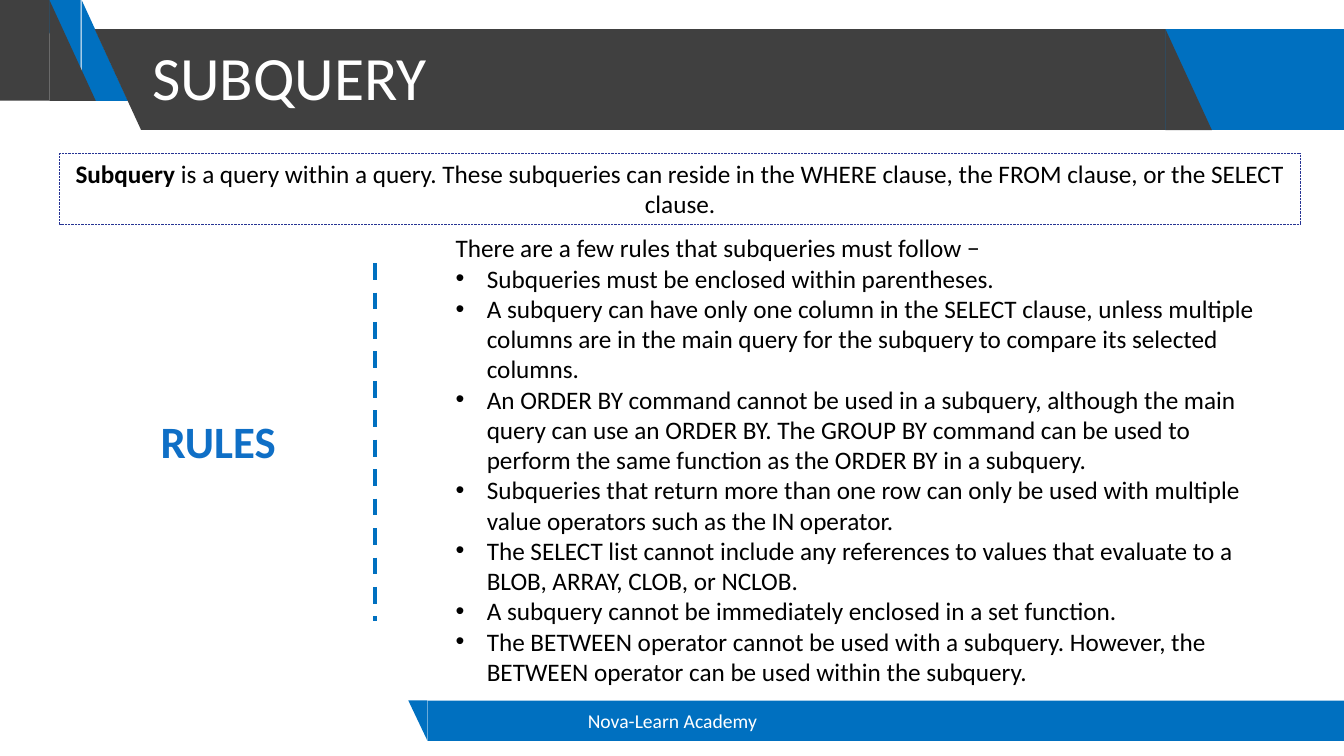
from dataclasses import dataclass

from lxml.etree import SubElement
from pptx import Presentation
from pptx.dml.color import RGBColor
from pptx.enum.dml import MSO_LINE
from pptx.enum.shapes import MSO_CONNECTOR, MSO_SHAPE
from pptx.enum.text import MSO_ANCHOR, PP_ALIGN
from pptx.oxml.ns import qn
from pptx.shapes.autoshape import Shape
from pptx.slide import Slide
from pptx.text.text import _Paragraph as Paragraph
from pptx.util import Pt

PX = 9144  # 100 px to the inch
FONT = "Calibri"
BLUE = RGBColor(0x00, 0x70, 0xC0)
GRAY = RGBColor(0x40, 0x40, 0x40)
NAVY = RGBColor(0x26, 0x33, 0x93)
RULES_BLUE = RGBColor(0x0F, 0x6F, 0xC6)
WHITE = RGBColor(0xFF, 0xFF, 0xFF)
BLACK = RGBColor(0x00, 0x00, 0x00)
RECTANGLE = MSO_SHAPE.RECTANGLE
TRIANGLE = MSO_SHAPE.RIGHT_TRIANGLE
BULLET_INDENT = 31

Area = tuple[int, int, int, int]


@dataclass(frozen=True)
class Band:
    area: Area
    color: RGBColor
    kind: MSO_SHAPE = RECTANGLE
    flipped: bool = False


@dataclass(frozen=True)
class Label:
    text: str
    area: Area
    size: int
    color: RGBColor
    align: PP_ALIGN = PP_ALIGN.CENTER
    anchor: MSO_ANCHOR = MSO_ANCHOR.MIDDLE
    bold: bool = False
    line_spacing: float = 1.0


BANDS = [
    Band((1068, 29, 265, 100), BLUE),
    Band((81, 0, 46, 100), BLUE, TRIANGLE),
    Band((34, 0, 46, 100), BLUE, TRIANGLE, flipped=True),
    Band((0, 0, 49, 100), GRAY),
    Band((49, 0, 46, 100), GRAY, TRIANGLE),
    Band((94, 29, 46, 100), GRAY, TRIANGLE, flipped=True),
    Band((140, 29, 1016, 100), GRAY),
    Band((1156, 29, 46, 100), GRAY, TRIANGLE),
    Band((424, 695, 909, 40), BLUE),
    Band((405, 695, 19, 40), BLUE, TRIANGLE, flipped=True),
]

LABELS = [
    Label("SUBQUERY", (141, 7, 1014, 145), 44, WHITE, PP_ALIGN.LEFT, line_spacing=0.9),
    Label("Nova-Learn Academy", (442, 695, 450, 40), 14, WHITE),
    Label("RULES", (46, 406, 341, 64), 32, RULES_BLUE, anchor=MSO_ANCHOR.TOP, bold=True),
]

DEFINITION_TERM = "Subquery"
DEFINITION = (
    " is a query within a query. These subqueries can reside in the WHERE clause, "
    "the FROM clause, or the SELECT clause."
)
RULES_INTRO = "There are a few rules that subqueries must follow −"
RULES = [
    "Subqueries must be enclosed within parentheses.",
    "A subquery can have only one column in the SELECT clause, unless multiple columns "
    "are in the main query for the subquery to compare its selected columns.",
    "An ORDER BY command cannot be used in a subquery, although the main query can use "
    "an ORDER BY. The GROUP BY command can be used to perform the same function as the "
    "ORDER BY in a subquery.",
    "Subqueries that return more than one row can only be used with multiple value "
    "operators such as the IN operator.",
    "The SELECT list cannot include any references to values that evaluate to a BLOB, "
    "ARRAY, CLOB, or NCLOB.",
    "A subquery cannot be immediately enclosed in a set function.",
    "The BETWEEN operator cannot be used with a subquery. However, the BETWEEN operator "
    "can be used within the subquery.",
]


def scale(lengths: Area) -> list[int]:
    return [length * PX for length in lengths]


def set_font(paragraph: Paragraph, size: int, color: RGBColor) -> None:
    paragraph.font.name = FONT
    paragraph.font.size = Pt(size)
    paragraph.font.color.rgb = color


def add_bullet(paragraph: Paragraph) -> None:
    properties = paragraph._p.get_or_add_pPr()
    properties.set("marL", str(BULLET_INDENT * PX))
    properties.set("indent", str(-BULLET_INDENT * PX))
    SubElement(properties, qn("a:buFont")).set("typeface", "Arial")
    SubElement(properties, qn("a:buChar")).set("char", "•")


def add_band(page: Slide, band: Band) -> None:
    shape = page.shapes.add_shape(band.kind, *scale(band.area))
    shape.shadow.inherit = False
    shape.fill.solid()
    shape.fill.fore_color.rgb = band.color
    shape.line.fill.background()
    if band.flipped:
        frame = shape._element.spPr.get_or_add_xfrm()
        frame.set("flipH", "1")
        frame.set("flipV", "1")


def add_text_box(page: Slide, area: Area) -> Shape:
    box = page.shapes.add_textbox(*scale(area))
    box.text_frame.word_wrap = True
    return box


def add_label(page: Slide, label: Label) -> None:
    frame = add_text_box(page, label.area).text_frame
    frame.vertical_anchor = label.anchor
    paragraph = frame.paragraphs[0]
    paragraph.text = label.text
    paragraph.alignment = label.align
    paragraph.line_spacing = label.line_spacing
    set_font(paragraph, label.size, label.color)
    paragraph.font.bold = label.bold


def add_definition(page: Slide) -> None:
    box = page.shapes.add_shape(RECTANGLE, *scale((59, 152, 1231, 71)))
    box.shadow.inherit = False
    box.fill.background()
    box.line.color.rgb = NAVY
    box.line.width = Pt(0.5)
    box.line.dash_style = MSO_LINE.ROUND_DOT
    box.text_frame.word_wrap = True
    box.text_frame.vertical_anchor = MSO_ANCHOR.TOP
    paragraph = box.text_frame.paragraphs[0]
    paragraph.alignment = PP_ALIGN.CENTER
    for text, bold in ((DEFINITION_TERM, True), (DEFINITION, False)):
        span = paragraph.add_run()
        span.text = text
        span.font.bold = bold
    set_font(paragraph, 18, BLACK)


def add_divider(page: Slide) -> None:
    divider = page.shapes.add_connector(MSO_CONNECTOR.STRAIGHT, *scale((372, 261, 372, 616)))
    divider.line.color.rgb = BLUE
    divider.line.width = Pt(3)
    divider.line.dash_style = MSO_LINE.DASH
    SubElement(divider._element.spPr, qn("a:effectLst"))


def add_rules(page: Slide) -> None:
    frame = add_text_box(page, (442, 226, 826, 464)).text_frame
    intro = frame.paragraphs[0]
    intro.text = RULES_INTRO
    set_font(intro, 18, BLACK)
    for rule in RULES:
        paragraph = frame.add_paragraph()
        paragraph.text = rule
        add_bullet(paragraph)
        set_font(paragraph, 18, BLACK)


def main() -> None:
    deck = Presentation()
    deck.slide_width, deck.slide_height = 1333 * PX, 750 * PX
    page = deck.slides.add_slide(deck.slide_layouts[6])
    for band in BANDS:
        add_band(page, band)
    for label in LABELS:
        add_label(page, label)
    add_definition(page)
    add_divider(page)
    add_rules(page)
    deck.save("out.pptx")


if __name__ == "__main__":
    main()
